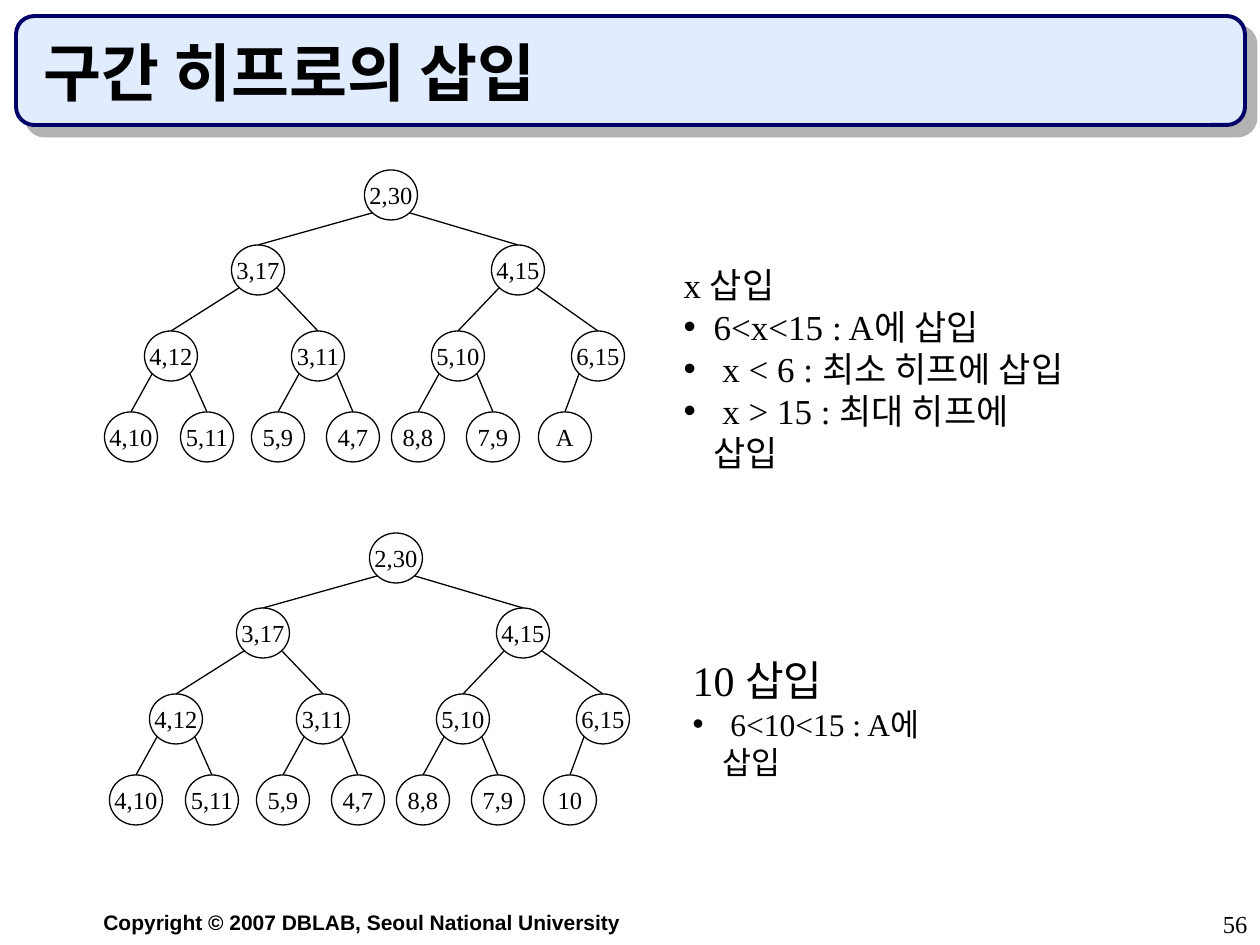
from lxml import etree
from pptx import Presentation
from pptx.dml.color import RGBColor
from pptx.enum.shapes import MSO_CONNECTOR, MSO_SHAPE
from pptx.enum.text import MSO_ANCHOR, MSO_AUTO_SIZE, PP_ALIGN
from pptx.oxml.ns import qn
from pptx.util import Pt

ELLIPSE, ROUNDED = MSO_SHAPE.OVAL, MSO_SHAPE.ROUNDED_RECTANGLE
STRAIGHT = MSO_CONNECTOR.STRAIGHT
LEFT, CENTER, RIGHT = PP_ALIGN.LEFT, PP_ALIGN.CENTER, PP_ALIGN.RIGHT
TOP, MIDDLE, BOTTOM = MSO_ANCHOR.TOP, MSO_ANCHOR.MIDDLE, MSO_ANCHOR.BOTTOM
NO_AUTOFIT = MSO_AUTO_SIZE.NONE

EMU_PER_PX = 914400 / 126
COLORS = {"ink": "000000", "banner": "E1ECFF", "border": "000066", "shadow": "B2B2B2"}
SERIF, SANS = "Times New Roman", "Arial"
TITLE_AND_TWO_LISTS = 3
NODE_WIDTH, NODE_HEIGHT = 53, 50
SIDE_X, SIDE_Y = 19, 18
HANGING_INDENT = 30

LEVEL_TOPS = [170, 245, 331, 412]
NODE_CENTERS = [
    [391],
    [258, 518],
    [171, 318, 458, 598],
    [131, 207, 278, 353, 418, 493, 565],
]
HEAP = [
    ["2,30"],
    ["3,17", "4,15"],
    ["4,12", "3,11", "5,10", "6,15"],
    ["4,10", "5,11", "5,9", "4,7", "8,8", "7,9"],
]


def px(length):
    """Turn a length in pixels into EMU."""
    return round(length * EMU_PER_PX)


def color(name):
    """Look up a named colour."""
    return RGBColor.from_string(COLORS[name])


def apply(target, values):
    """Set each attribute named in values on the target."""
    for name, value in values.items():
        setattr(target, name, value)


class SlideBuilder:
    """Holds the slide and its style and adds each kind of element."""

    def __init__(self, presentation):
        """Add a slide with a title and two lists."""
        layout = presentation.slide_layouts[TITLE_AND_TWO_LISTS]
        self.slide = presentation.slides.add_slide(layout)
        self.shapes = self.slide.shapes

    def place(self, shape, left, top, width, height):
        """Move and size a shape."""
        names = ("left", "top", "width", "height")
        apply(shape, dict(zip(names, map(px, (left, top, width, height)))))

    def frame(self, shape, wrap=True, anchor=TOP):
        """Format the text frame of a shape."""
        values = {"word_wrap": wrap, "vertical_anchor": anchor, "auto_size": NO_AUTOFIT}
        apply(shape.text_frame, values)
        return shape.text_frame

    def add_text(self, paragraph, text, size, align=LEFT, name=SERIF, bold=False):
        """Add one formatted run to a paragraph."""
        apply(paragraph, {"alignment": align, "space_before": Pt(0)})
        run = paragraph.add_run()
        run.text = text
        apply(run.font, {"name": name, "size": Pt(size), "bold": bold})
        run.font.color.rgb = color("ink")

    def outline(self, shape, name="ink", width=0.75):
        """Set the line of a shape."""
        shape.line.color.rgb = color(name)
        shape.line.width = Pt(width)

    def banner(self, left, top, width, height):
        """Add the rounded title banner with its hard shadow."""
        shape = self.shapes.add_shape(ROUNDED, *map(px, (left, top, width, height)))
        shape.fill.solid()
        shape.fill.fore_color.rgb = color("banner")
        self.outline(shape, "border", 2.25)
        shape.shadow.inherit = False
        effects = shape._element.spPr.find(qn("a:effectLst"))
        shadow = etree.SubElement(
            effects, qn("a:outerShdw"), dist=str(Pt(8.5)), dir="2700000", algn="ctr", rotWithShape="0"
        )
        etree.SubElement(shadow, qn("a:srgbClr"), val=COLORS["shadow"])
        self.shapes._spTree.insert(2, shape._element)

    def title(self, text, *box):
        """Fill the title placeholder."""
        shape = self.shapes.title
        self.place(shape, *box)
        frame = self.frame(shape, anchor=BOTTOM)
        self.add_text(frame.paragraphs[0], text, 36, bold=True)

    def bullet(self, paragraph, shown):
        """Give a paragraph a hanging bullet or none."""
        properties = paragraph._p.get_or_add_pPr()
        indent = px(HANGING_INDENT) if shown else 0
        properties.set("marL", str(indent))
        properties.set("indent", str(-indent))
        if not shown:
            etree.SubElement(properties, qn("a:buNone"))
            return
        bullet_color = etree.SubElement(properties, qn("a:buClr"))
        etree.SubElement(bullet_color, qn("a:srgbClr"), val=COLORS["ink"])
        etree.SubElement(properties, qn("a:buChar"), char="•")

    def bullets(self, index, box, heading, heading_size, items, item_size):
        """Fill a body placeholder with a heading and its list."""
        shape = self.slide.placeholders[index]
        self.place(shape, *box)
        frame = self.frame(shape)
        self.bullet(frame.paragraphs[0], False)
        self.add_text(frame.paragraphs[0], heading, heading_size)
        for item in items:
            paragraph = frame.add_paragraph()
            self.bullet(paragraph, True)
            self.add_text(paragraph, item, item_size)

    def label(self, text, box, size, align, **font):
        """Add a one-line text box."""
        shape = self.shapes.add_textbox(*map(px, box))
        self.add_text(self.frame(shape).paragraphs[0], text, size, align, **font)

    def node(self, group, text, center, top):
        """Add one heap node."""
        box = (center - NODE_WIDTH / 2, top, NODE_WIDTH, NODE_HEIGHT)
        shape = group.shapes.add_shape(ELLIPSE, *map(px, box))
        shape.shadow.inherit = False
        shape.fill.background()
        self.outline(shape)
        frame = self.frame(shape, wrap=False, anchor=MIDDLE)
        self.add_text(frame.paragraphs[0], text, 14, CENTER)

    def edge(self, group, *ends):
        """Add a line from a parent to a child."""
        line = group.shapes.add_connector(STRAIGHT, *map(px, ends))
        self.outline(line)
        etree.SubElement(line._element.spPr, qn("a:effectLst"))

    def tree(self, last_leaf, shift_x=0, shift_y=0):
        """Add the heap with its last leaf, shifted as a group."""
        group = self.shapes.add_group_shape()
        levels = HEAP[:-1] + [HEAP[-1] + [last_leaf]]
        for depth, texts in enumerate(levels):
            top = LEVEL_TOPS[depth] + shift_y
            for index, text in enumerate(texts):
                center = NODE_CENTERS[depth][index] + shift_x
                self.node(group, text, center, top)
                if depth:
                    side = SIDE_X if index % 2 else -SIDE_X
                    parent_x = NODE_CENTERS[depth - 1][index // 2] + shift_x + side
                    parent_y = LEVEL_TOPS[depth - 1] + shift_y + NODE_HEIGHT / 2 + SIDE_Y
                    self.edge(group, parent_x, parent_y, center, top)


def main():
    """Build the slide and save it."""
    presentation = Presentation()
    apply(presentation, {"slide_width": px(1260), "slide_height": px(945)})
    builder = SlideBuilder(presentation)
    builder.banner(16, 16, 1229, 109)
    builder.title("구간 히프로의 삽입", 31, 31, 1187, 84)
    builder.tree("A")
    rules = ["6<x<15 : A에 삽입", " x < 6 : 최소 히프에 삽입", " x > 15 : 최대 히프에 삽입"]
    builder.bullets(1, (671, 257, 417, 181), "x 삽입", 20, rules, 20)
    builder.tree("10", 5, 363)
    builder.bullets(2, (680, 648, 309, 101), "10 삽입", 24, [" 6<10<15 : A에 삽입"], 18)
    copyright_line = "Copyright © 2007 DBLAB, Seoul National University"
    builder.label(copyright_line, (31, 903, 662, 38), 12, CENTER, name=SANS, bold=True)
    builder.label("56", (998, 903, 262, 42), 14, RIGHT)
    presentation.save("out.pptx")


if __name__ == "__main__":
    main()
